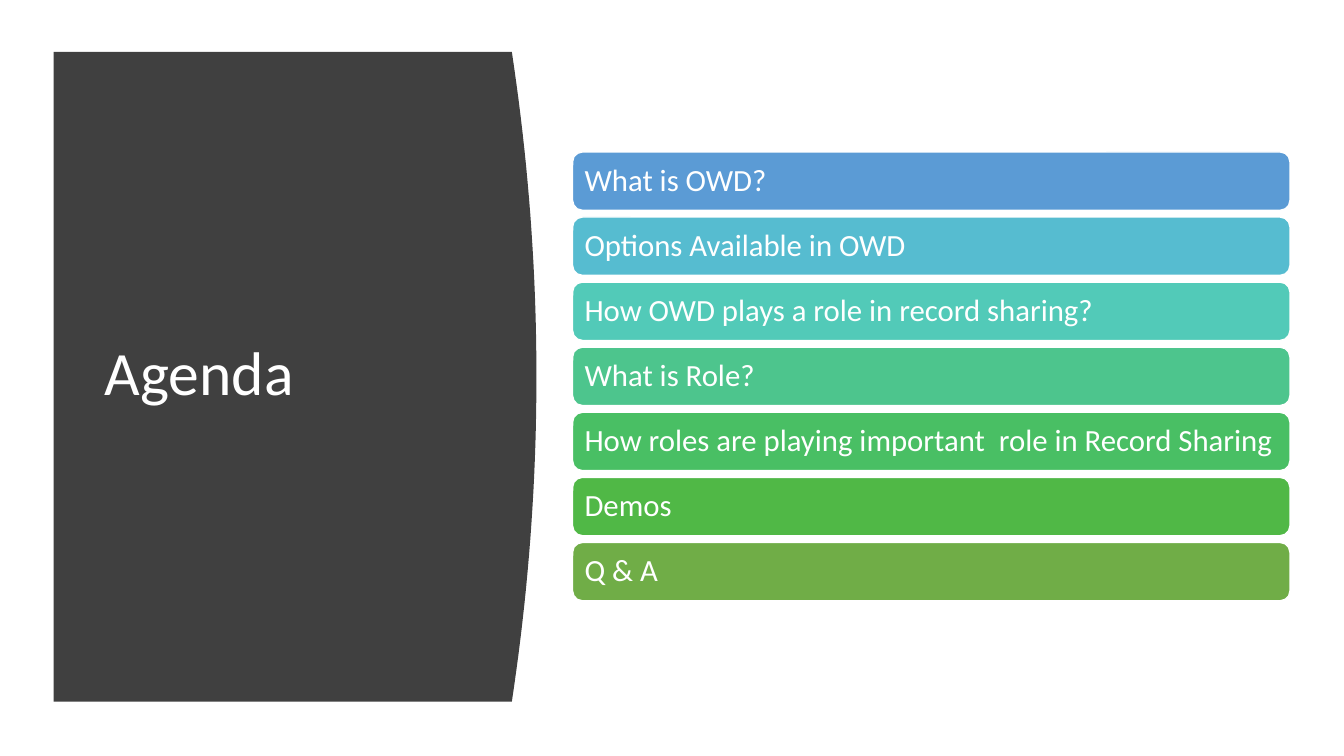
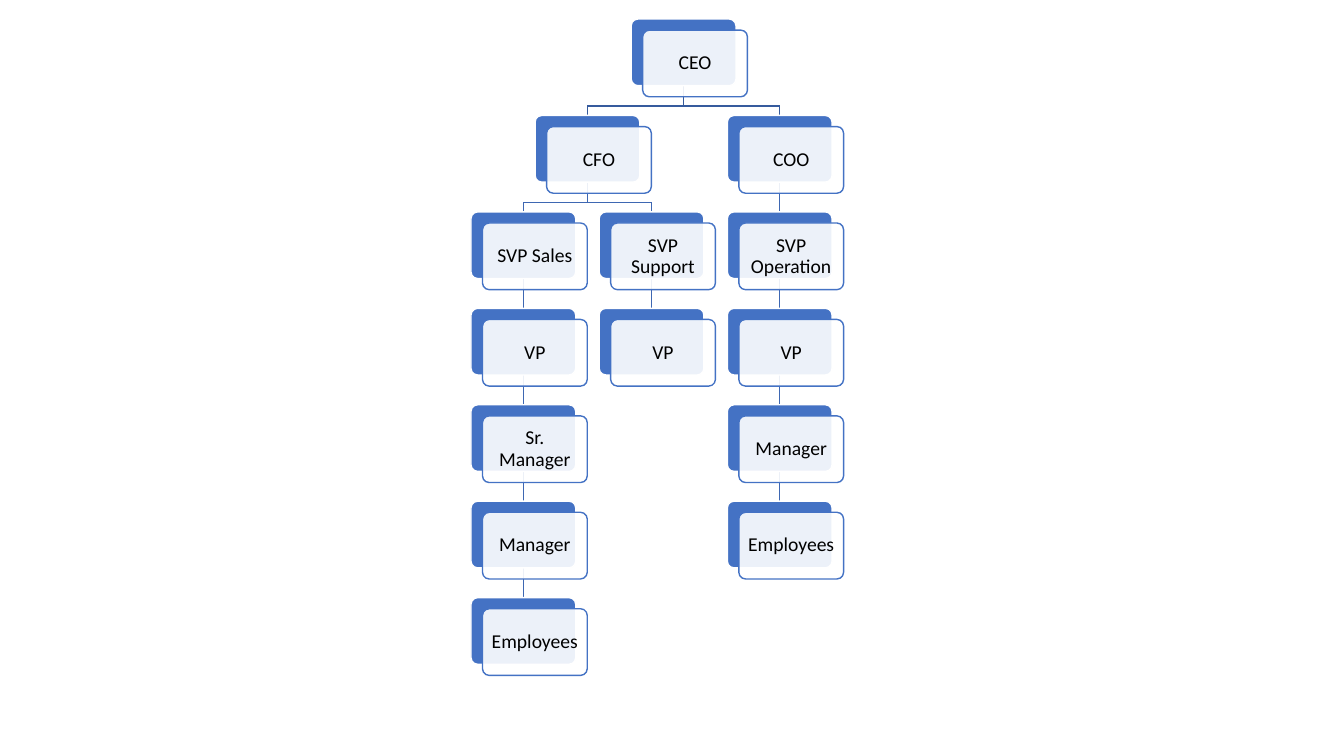
"""Build an agenda slide and a role hierarchy slide."""
from dataclasses import dataclass

from lxml import etree
from pptx import Presentation
from pptx.dml.color import RGBColor
from pptx.enum.shapes import MSO_CONNECTOR, MSO_SHAPE
from pptx.enum.text import MSO_ANCHOR, PP_ALIGN
from pptx.oxml.ns import qn
from pptx.util import Cm, Pt

ROUNDED = MSO_SHAPE.ROUNDED_RECTANGLE
STRAIGHT = MSO_CONNECTOR.STRAIGHT
MIDDLE = MSO_ANCHOR.MIDDLE
LEFT, CENTER = PP_ALIGN.LEFT, PP_ALIGN.CENTER


@dataclass(frozen=True)
class Theme:
    font: str = "Calibri"
    white: str = "FFFFFF"
    black: str = "000000"
    panel: str = "404040"
    card: str = "4472C4"
    top_link: str = "365B9D"
    link: str = "3E67B2"
    title_size: int = 44
    agenda_size: int = 22
    card_size: int = 14
    line_width: int = 1


theme = Theme()


def add_box(s, left, top, width, height, fill, line, rounding):
    sp = s.shapes.add_shape(ROUNDED, Cm(left), Cm(top), Cm(width), Cm(height))
    sp.shadow.inherit = False
    sp.adjustments[0] = rounding
    sp.fill.solid()
    sp.fill.fore_color.rgb = RGBColor.from_string(fill)
    sp.line.color.rgb = RGBColor.from_string(line)
    sp.line.width = Pt(theme.line_width)
    return sp


def set_text(sp, text, size, color, align, inset):
    tf = sp.text_frame
    tf.text = text
    tf.word_wrap = True
    tf.vertical_anchor = MIDDLE
    tf.margin_left = tf.margin_right = Cm(inset)
    tf.margin_top = tf.margin_bottom = Cm(inset)
    p = tf.paragraphs[0]
    p.alignment = align
    p.line_spacing = 0.9
    r = p.runs[0]
    r.font.name = theme.font
    r.font.size = Pt(size)
    r.font.color.rgb = RGBColor.from_string(color)


prs = Presentation()
prs.slide_width, prs.slide_height = Cm(33.87), Cm(19.05)
blank = prs.slide_layouts[6]

s = prs.slides.add_slide(blank)

panel_left, panel_top, panel_height = 1.35, 1.31, 16.37
panel_edge, bulge, steps = 12.9, 0.62, 40
curve = []
for i in range(steps + 1):
    t = 2 * i / steps - 1
    x = panel_edge + bulge * (1 - t * t)
    y = panel_top + panel_height * i / steps
    curve.append((Cm(x), Cm(y)))
outline = s.shapes.build_freeform(Cm(panel_left), Cm(panel_top))
outline.add_line_segments(curve + [(Cm(panel_left), Cm(panel_top + panel_height))], close=True)
panel = outline.convert_to_shape()
panel.shadow.inherit = False
panel.fill.solid()
panel.fill.fore_color.rgb = RGBColor.from_string(theme.panel)
panel.line.fill.background()

title = s.shapes.add_textbox(Cm(2.39), Cm(2.82), Cm(9.5), Cm(13.31))
set_text(title, "Agenda", theme.title_size, theme.white, LEFT, 0.25)

agenda = [
    ("What is OWD?", "5B9BD5"),
    ("Options Available in OWD", "56BCD0"),
    ("How OWD plays a role in record sharing?", "52CAB8"),
    ("What is Role?", "4DC58D"),
    ("How roles are playing important  role in Record Sharing", "49BF64"),
    ("Demos", "50B846"),
    ("Q & A", "70AD47"),
]
agenda_top, agenda_pitch = 3.83, 1.64
for i, (topic, color) in enumerate(agenda):
    sp = add_box(s, 14.43, agenda_top + i * agenda_pitch, 18.08, 1.47, color, theme.white, 0.17)
    set_text(sp, topic, theme.agenda_size, theme.white, LEFT, 0.23)

s = prs.slides.add_slide(blank)

roles = [
    ("CEO", 1.25, 0, None),
    ("CFO", 0.5, 1, 0),
    ("SVP Sales", 0, 2, 1),
    ("VP", 0, 3, 2),
    ("Sr. Manager", 0, 4, 3),
    ("Manager", 0, 5, 4),
    ("Employees", 0, 6, 5),
    ("SVP Support", 1, 2, 1),
    ("VP", 1, 3, 7),
    ("COO", 2, 1, 0),
    ("SVP Operation", 2, 2, 9),
    ("VP", 2, 3, 10),
    ("Manager", 2, 4, 11),
    ("Employees", 2, 5, 12),
]
tree_left, tree_top = 11.87, 0.48
column_pitch, row_pitch = 3.23, 2.43
card_width, card_height = 2.64, 1.68
shift_x, shift_y, stem = 0.29, 0.28, 0.51
places = [(tree_left + column * column_pitch, tree_top + row * row_pitch)
          for _, column, row, _ in roles]

for (x, y), (_, _, _, parent) in zip(places, roles):
    if parent is None:
        continue
    start_x, end_x = places[parent][0] + card_width / 2, x + card_width / 2
    start_y = places[parent][1] + card_height
    bar_y = start_y + stem
    if start_x == end_x:
        points = [(start_x, start_y), (end_x, y)]
    else:
        points = [(start_x, start_y), (start_x, bar_y), (end_x, bar_y), (end_x, y)]
    color = theme.top_link if parent == 0 else theme.link
    for (x1, y1), (x2, y2) in zip(points, points[1:]):
        link = s.shapes.add_connector(STRAIGHT, Cm(x1), Cm(y1), Cm(x2), Cm(y2))
        link.line.color.rgb = RGBColor.from_string(color)
        link.line.width = Pt(theme.line_width)
        etree.SubElement(link.element.spPr, qn("a:effectLst"))

for (x, y), (role, _, _, _) in zip(places, roles):
    add_box(s, x, y, card_width, card_height, theme.card, theme.white, 0.1)
    front = add_box(s, x + shift_x, y + shift_y, card_width, card_height,
                    theme.white, theme.card, 0.1)
    fill_color = front.element.spPr.find(qn("a:solidFill")).find(qn("a:srgbClr"))
    etree.SubElement(fill_color, qn("a:alpha"), val="90000")
    set_text(front, role, theme.card_size, theme.black, CENTER, 0.15)

prs.save("out.pptx")
